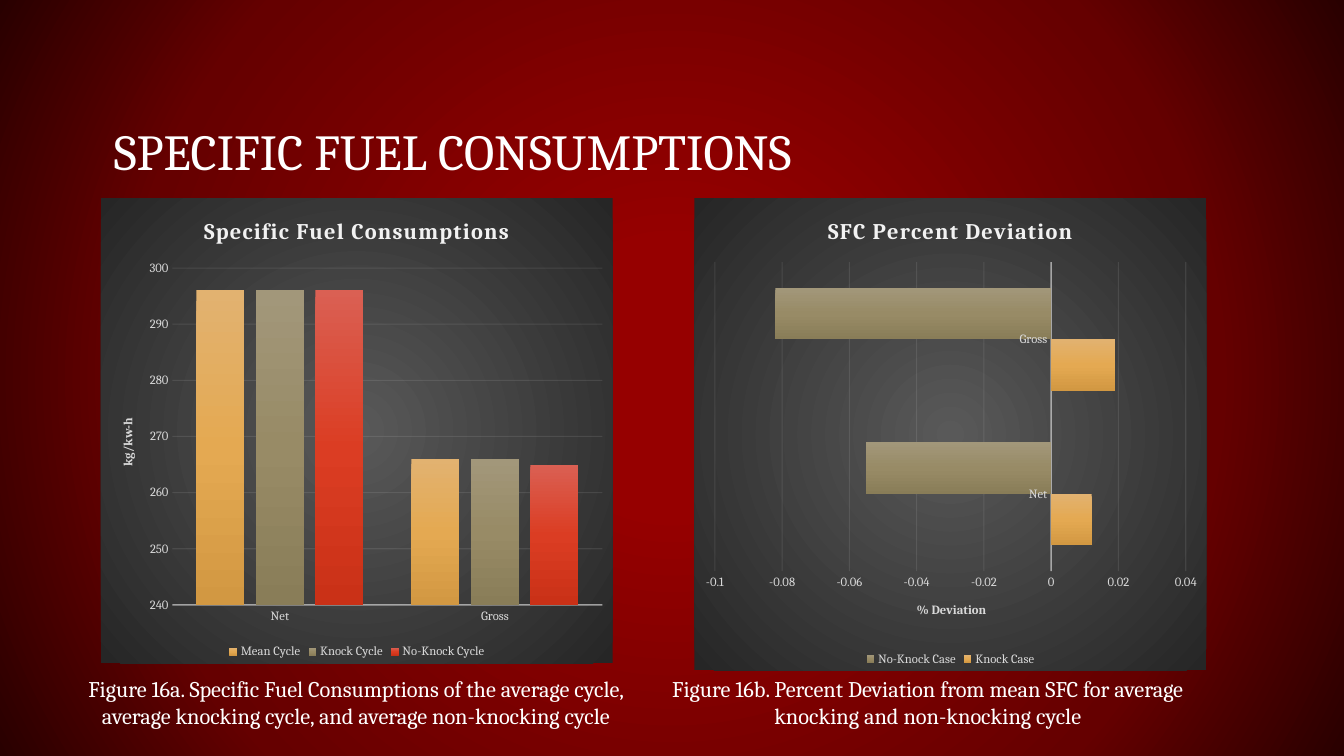
from dataclasses import dataclass
from typing import Any

from pptx import Presentation
from pptx.chart.data import CategoryChartData
from pptx.dml.color import RGBColor
from pptx.enum.chart import XL_CHART_TYPE, XL_LEGEND_POSITION, XL_TICK_MARK
from pptx.enum.text import MSO_ANCHOR, PP_ALIGN
from pptx.oxml import parse_xml
from pptx.oxml.ns import nsdecls
from pptx.util import Cm, Pt

COLUMN = XL_CHART_TYPE.COLUMN_CLUSTERED
BAR = XL_CHART_TYPE.BAR_CLUSTERED
LEGEND_BOTTOM = XL_LEGEND_POSITION.BOTTOM
NO_TICK = XL_TICK_MARK.NONE
BOTTOM, TOP = MSO_ANCHOR.BOTTOM, MSO_ANCHOR.TOP
LEFT, CENTER = PP_ALIGN.LEFT, PP_ALIGN.CENTER

FONT = "Cambria"
WHITE = RGBColor(0xFF, 0xFF, 0xFF)
PALE = RGBColor(0xF2, 0xF2, 0xF2)
GREY = RGBColor(0xD9, 0xD9, 0xD9)

Stops = tuple[tuple[int, RGBColor], ...]


def stops(positions: tuple[int, ...], *colors: str) -> Stops:
    return tuple(zip(positions, map(RGBColor.from_string, colors)))


RED_GLOW = stops((17, 71, 100), "960000", "650000", "290000")
CHARCOAL = stops((0, 100), "595959", "262626")
THIRDS = (0, 50, 100)
ORANGE = stops(THIRDS, "E2B270", "E4A952", "D29842")
OLIVE = stops(THIRDS, "A2977A", "988B66", "897D58")
RED = stops(THIRDS, "DA6053", "DB3D23", "CA3117")

SMALL = {"name": FONT, "size": Pt(9), "bold": False}
SMALL_BOLD = {**SMALL, "bold": True}
HEADING = {"name": FONT, "size": Pt(16), "bold": True}


@dataclass
class Series:
    name: str
    values: tuple[float, ...]
    gradient: Stops


@dataclass
class Panel:
    kind: Any
    title: str
    axis_title: str
    left: float
    height: float
    plot: tuple[float, float, float, float]
    scale: dict[str, float]
    overlap: int
    series: tuple[Series, ...]


@dataclass
class Label:
    text: str
    box: tuple[float, float, float, float]
    size: int
    alignment: Any = CENTER
    anchor: Any = TOP
    line_spacing: float = 1.0
    inset: tuple[float, float] = (0.25, 0.13)


CATEGORIES = ("Net", "Gross")
PANEL_TOP, PANEL_WIDTH = 5.0, 12.9
CAPTION_TOP, CAPTION_WIDTH, CAPTION_HEIGHT = 16.89, 15.01, 1.63

PANELS = (
    Panel(COLUMN, "Specific Fuel Consumptions", "kg/kw-h", 2.54, 11.71,
          (0.14, 0.15, 0.84, 0.725),
          {"minimum_scale": 240, "maximum_scale": 300, "major_unit": 10}, -24,
          (Series("Mean Cycle", (296, 266), ORANGE),
           Series("Knock Cycle", (296, 266), OLIVE),
           Series("No-Knock Cycle", (296, 265), RED))),
    Panel(BAR, "SFC Percent Deviation", "% Deviation", 17.5, 11.89,
          (0.04, 0.135, 0.92, 0.655),
          {"minimum_scale": -0.1, "maximum_scale": 0.04, "major_unit": 0.02}, 0,
          (Series("Knock Case", (0.012, 0.019), ORANGE),
           Series("No-Knock Case", (-0.055, -0.082), OLIVE))),
)

LABELS = (
    Label("SPECIFIC FUEL CONSUMPTIONS", (2.54, 1.35, 28.78, 3.38), 36,
          LEFT, BOTTOM, 0.8, (0.33, 0.18)),
    Label("Figure 16a. Specific Fuel Consumptions of the average cycle, "
          "average knocking cycle, and average non-knocking cycle",
          (1.47, CAPTION_TOP, CAPTION_WIDTH, CAPTION_HEIGHT), 16),
    Label("Figure 16b. Percent Deviation from mean SFC for average "
          "knocking and non-knocking cycle",
          (15.88, CAPTION_TOP, CAPTION_WIDTH, CAPTION_HEIGHT), 16),
)


def apply(target: Any, values: dict[str, Any]) -> None:
    for name, value in values.items():
        setattr(target, name, value)


def style(font: Any, values: dict[str, Any], color: RGBColor) -> None:
    apply(font, values)
    font.color.rgb = color


def gradient(colors: Stops, radial: bool) -> Any:
    listed = "".join(
        f'<a:gs pos="{position * 1000}"><a:srgbClr val="{color}"/></a:gs>'
        for position, color in colors)
    direction = (
        '<a:path path="circle"><a:fillToRect l="50000" t="50000" r="50000" b="50000"/></a:path>'
        if radial else '<a:lin ang="5400000" scaled="0"/>')
    return parse_xml(f'<a:gradFill {nsdecls("a")} rotWithShape="1">'
                     f'<a:gsLst>{listed}</a:gsLst>{direction}</a:gradFill>')


def replace_fill(solid: Any, colors: Stops, radial: bool) -> None:
    solid.getparent().replace(solid, gradient(colors, radial))


def set_alpha(chart: Any, owner: str, percent: int) -> None:
    for color in chart.element.xpath(f".//{owner}/c:spPr/a:ln/a:solidFill/a:srgbClr"):
        color.append(parse_xml(f'<a:alpha {nsdecls("a")} val="{percent * 1000}"/>'))


def place_plot(chart: Any, plot: tuple[float, float, float, float]) -> None:
    area = chart.element.xpath(".//c:plotArea")[0]
    for layout in area.xpath("c:layout"):
        area.remove(layout)
    position = "".join(f'<c:{name} val="{value}"/>' for name, value in zip("xywh", plot))
    area.insert(0, parse_xml(
        f'<c:layout {nsdecls("c")}><c:manualLayout><c:layoutTarget val="inner"/>'
        f'<c:xMode val="edge"/><c:yMode val="edge"/>{position}</c:manualLayout></c:layout>'))


def write_title(owner: Any, text: str, font: dict[str, Any], color: RGBColor) -> Any:
    run = owner.text_frame.paragraphs[0].add_run()
    run.text = text
    style(run.font, font, color)
    return run


def style_axes(chart: Any, panel: Panel) -> None:
    category, value = chart.category_axis, chart.value_axis
    for axis in (category, value):
        apply(axis, {"major_tick_mark": NO_TICK, "minor_tick_mark": NO_TICK})
        style(axis.tick_labels.font, SMALL, GREY)
    apply(value, {**panel.scale, "has_major_gridlines": True})
    value.format.line.fill.background()
    write_title(value.axis_title, panel.axis_title, SMALL_BOLD, GREY)
    if panel.kind == COLUMN:
        value.axis_title.element.xpath(".//a:bodyPr")[0].set("rot", "-5400000")
    for line, width in ((category.format.line, 1),
                        (value.major_gridlines.format.line, 0.75)):
        line.color.rgb = PALE
        line.width = Pt(width)
    set_alpha(chart, "c:catAx", 54)
    set_alpha(chart, "c:majorGridlines", 10)


def draw_panel(slide: Any, panel: Panel) -> None:
    data = CategoryChartData()
    data.categories = CATEGORIES
    for series in panel.series:
        data.add_series(series.name, series.values)
    chart = slide.shapes.add_chart(
        panel.kind, Cm(panel.left), Cm(PANEL_TOP), Cm(PANEL_WIDTH),
        Cm(panel.height), data).chart
    style(chart.font, {"name": FONT, "size": Pt(10)}, WHITE)
    apply(chart, {"has_title": True, "has_legend": True})
    run = write_title(chart.chart_title, panel.title, HEADING, PALE)
    run.font._element.set("spc", "100")
    apply(chart.legend, {"position": LEGEND_BOTTOM, "include_in_layout": False})
    style(chart.legend.font, SMALL, GREY)
    apply(chart.plots[0], {"gap_width": 100, "overlap": panel.overlap,
                           "vary_by_categories": False})
    style_axes(chart, panel)
    place_plot(chart, panel.plot)
    for drawn, series in zip(chart.plots[0].series, panel.series):
        drawn.invert_if_negative = False
        drawn.format.fill.solid()
        drawn.format.fill.fore_color.rgb = series.gradient[0][1]
    fills = chart.element.xpath(".//c:ser/c:spPr/a:solidFill")
    for solid, series in zip(fills, panel.series):
        replace_fill(solid, series.gradient, False)
    background = parse_xml(f'<c:spPr {nsdecls("c", "a")}><a:ln><a:noFill/></a:ln></c:spPr>')
    background.insert(0, gradient(CHARCOAL, True))
    chart.element.xpath("c:txPr")[0].addprevious(background)


def draw_label(slide: Any, label: Label) -> None:
    frame = slide.shapes.add_textbox(*map(Cm, label.box)).text_frame
    side, end = map(Cm, label.inset)
    apply(frame, {"word_wrap": True, "vertical_anchor": label.anchor,
                  "margin_left": side, "margin_right": side,
                  "margin_top": end, "margin_bottom": end})
    paragraph = frame.paragraphs[0]
    apply(paragraph, {"alignment": label.alignment, "line_spacing": label.line_spacing})
    run = paragraph.add_run()
    run.text = label.text
    style(run.font, {"name": FONT, "size": Pt(label.size)}, WHITE)


presentation = Presentation()
apply(presentation, {"slide_width": Cm(33.87), "slide_height": Cm(19.05)})
slide = presentation.slides.add_slide(presentation.slide_layouts[6])
slide.background.fill.solid()
slide.background.fill.fore_color.rgb = RED_GLOW[0][1]
replace_fill(slide.element.xpath(".//p:bgPr/a:solidFill")[0], RED_GLOW, True)
for panel in PANELS:
    draw_panel(slide, panel)
for label in LABELS:
    draw_label(slide, label)
presentation.save("out.pptx")
